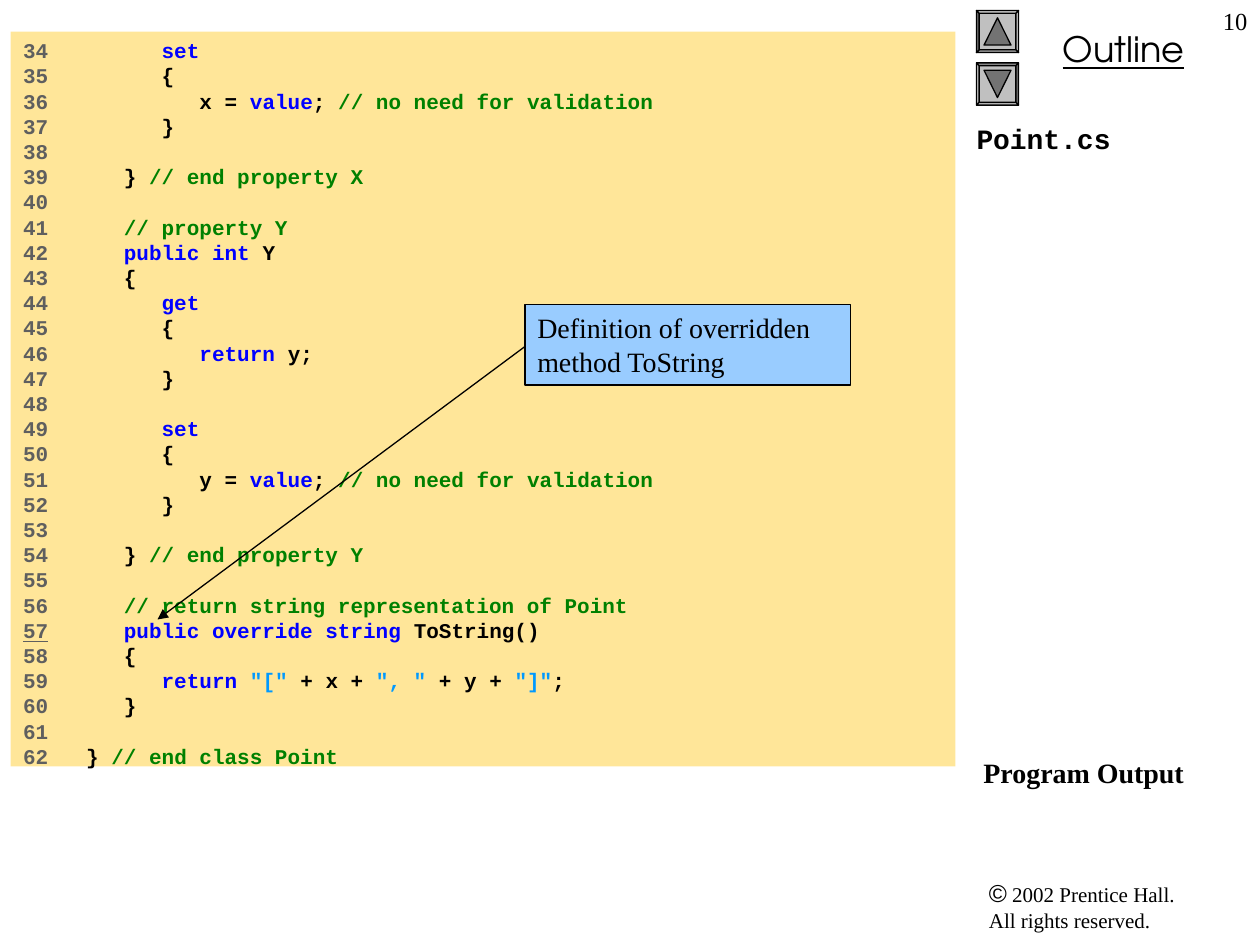
from pptx import Presentation
from pptx.dml.color import RGBColor
from pptx.enum.shapes import MSO_CONNECTOR as Connector, MSO_SHAPE as Preset
from pptx.enum.text import MSO_ANCHOR as Anchor, MSO_AUTO_SIZE as AutoSize, PP_ALIGN as Align
from pptx.oxml.ns import qn
from pptx.util import Pt
from lxml.etree import SubElement

BLACK = RGBColor(0x00, 0x00, 0x00)
GRAY = RGBColor(0x5F, 0x5F, 0x5F)
BLUE = RGBColor(0x00, 0x00, 0xFF)
GREEN = RGBColor(0x00, 0x80, 0x00)
SKY = RGBColor(0x00, 0x99, 0xFF)
CREAM = RGBColor(0xFF, 0xE6, 0x99)
PALE_BLUE = RGBColor(0x99, 0xCC, 0xFF)
FACE = RGBColor(0xC0, 0xC0, 0xC0)
LIGHT = RGBColor(0xCD, 0xCD, 0xCD)
MEDIUM = RGBColor(0x99, 0x99, 0x99)
DARK = RGBColor(0x73, 0x73, 0x73)

SERIF, MONO, SANS, DISPLAY = "Times New Roman", "Courier New", "Arial", "TeX Gyre Adventor"

FIRST_LINE = 34
UNDERLINED_LINE = 57
OPEN, CLOSE = [("      {", BLACK)], [("      }", BLACK)]
SET = [("      set", BLUE)]


def assignment(name):
    return [(f"         {name} = ", BLACK), ("value", BLUE), ("; ", BLACK),
            ("// no need for validation", GREEN)]


def property_end(name):
    return [("   } ", BLACK), (f"// end property {name}", GREEN)]


CODE = [
    SET, OPEN, assignment("x"), CLOSE, [], property_end("X"), [],
    [("   // property Y", GREEN)],
    [("   public int", BLUE), (" Y", BLACK)],
    [("   {", BLACK)],
    [("      get", BLUE)], OPEN,
    [("         return", BLUE), (" y;", BLACK)], CLOSE, [],
    SET, OPEN, assignment("y"), CLOSE, [], property_end("Y"), [],
    [("   // return string representation of Point", GREEN)],
    [("   public override string", BLUE), (" ToString()", BLACK)],
    [("   {", BLACK)],
    [("      return ", BLUE), ('"["', SKY), (" + x + ", BLACK), ('", "', SKY),
     (" + y + ", BLACK), ('"]"', SKY), (";", BLACK)],
    [("   }", BLACK)], [],
    [("} ", BLACK), ("// end class Point", GREEN)],
]

# Button outlines on a 24-point square
BUTTON = [
    (FACE, [(0, 0), (24, 0), (24, 24), (0, 24)]),
    (LIGHT, [(24, 0), (24, 24), (22.5, 22.5), (22.5, 1.5)]),
    (MEDIUM, [(24, 24), (0, 24), (1.5, 22.5), (22.5, 22.5)]),
    (DARK, [(0, 24), (0, 0), (1.5, 1.5), (1.5, 22.5)]),
    (LIGHT, [(0, 0), (24, 0), (22.5, 1.5), (1.5, 1.5)]),
    (DARK, [(12, 4.2), (19.7, 19.8), (4.3, 19.8)]),
]


class SlideBuilder:
    def __init__(self, slide):
        self.slide = slide
        self.line_width = Pt(0.75)

    def run(self, paragraph, text, size, font=SERIF, color=BLACK, bold=False, underline=False):
        run = paragraph.add_run()
        run.text = text
        run.font.size, run.font.name = Pt(size), font
        run.font.bold, run.font.underline = bold, underline
        run.font.color.rgb = color

    def frame(self, shape, left=7.2):
        frame = shape.text_frame
        frame.word_wrap, frame.auto_size = True, AutoSize.NONE
        frame.vertical_anchor = Anchor.TOP
        frame.margin_left, frame.margin_right = Pt(left), Pt(7.2)
        frame.margin_top = frame.margin_bottom = Pt(3.6)
        return frame

    def paragraph(self, frame, first=True, align=Align.LEFT, before=0, spacing=1.0):
        paragraph = frame.paragraphs[0] if first else frame.add_paragraph()
        paragraph.alignment, paragraph.line_spacing = align, spacing
        paragraph.space_before, paragraph.space_after = Pt(before), Pt(0)
        return paragraph

    def place(self, shape, left, top, width, height):
        shape.left, shape.top = Pt(left), Pt(top)
        shape.width, shape.height = Pt(width), Pt(height)
        return shape

    def text_box(self, left, top, width, height, align=Align.LEFT):
        box = self.slide.shapes.add_textbox(Pt(left), Pt(top), Pt(width), Pt(height))
        return self.paragraph(self.frame(box), align=align)

    def title(self, box, heading, footing, gap):
        frame = self.frame(self.place(self.slide.shapes.title, *box), left=0)
        spacing = Pt(19.2)
        self.run(self.paragraph(frame, spacing=spacing), heading, 16, MONO, bold=True)
        self.run(self.paragraph(frame, False, before=gap, spacing=spacing), footing, 16, bold=True)

    def code(self, box, lines):
        shape = self.place(self.slide.placeholders[1], *box)
        shape.fill.solid()
        shape.fill.fore_color.rgb = CREAM
        frame = self.frame(shape)
        for number, segments in enumerate(lines, FIRST_LINE):
            paragraph = self.paragraph(frame, number == FIRST_LINE, spacing=Pt(14.4))
            self.run(paragraph, str(number), 12, MONO, GRAY, True, number == UNDERLINED_LINE)
            if segments:
                self.run(paragraph, "   ", 12, MONO, GRAY, True)
            for text, color in segments:
                self.run(paragraph, text, 12, MONO, color, True)

    def callout(self, left, top, width, height, text):
        shape = self.slide.shapes.add_shape(
            Preset.RECTANGLE, Pt(left), Pt(top), Pt(width), Pt(height))
        self.paint(shape, PALE_BLUE)
        self.run(self.paragraph(self.frame(shape)), text, 16)

    def paint(self, shape, color):
        shape.shadow.inherit = False
        shape.fill.solid()
        shape.fill.fore_color.rgb = color
        shape.line.color.rgb, shape.line.width = BLACK, self.line_width

    def arrow(self, start, end):
        connector = self.slide.shapes.add_connector(
            Connector.STRAIGHT, *(Pt(value) for value in start + end))
        connector.line.color.rgb, connector.line.width = BLACK, self.line_width
        properties = connector._element.spPr
        SubElement(properties.find(qn("a:ln")), qn("a:tailEnd"), type="triangle")
        SubElement(properties, qn("a:effectLst"))

    def button(self, left, top, flipped=False):
        group = self.slide.shapes.add_group_shape()
        for color, outline in BUTTON:
            points = [(Pt(left + (24 - x if flipped else x)), Pt(top + (24 - y if flipped else y)))
                      for x, y in outline]
            builder = group.shapes.build_freeform(*points[0])
            builder.add_line_segments(points[1:])
            self.paint(builder.convert_to_shape(), color)


def main():
    presentation = Presentation()
    presentation.slide_width, presentation.slide_height = Pt(720), Pt(540)
    builder = SlideBuilder(presentation.slides.add_slide(presentation.slide_layouts[0]))

    # Side column
    copyright_line = builder.text_box(558, 498, 156, 39)
    builder.run(copyright_line, "©", 14, SANS)
    builder.run(copyright_line, " 2002 Prentice Hall.", 12)
    copyright_line.add_line_break()
    builder.run(copyright_line, "All rights reserved.", 12)
    outline = builder.text_box(564, 12, 156, 32, Align.CENTER)
    builder.run(outline, "Outline", 20, DISPLAY, underline=True)
    builder.button(558, 6)
    builder.button(558, 36, flipped=True)
    builder.title((558, 66, 162, 432), "Point.cs", " Program Output", 343)

    # Code listing
    builder.code((6, 18, 540, 420), CODE)

    # Callout and its arrow
    builder.callout(300, 174, 186, 46, "Definition of overridden method ToString")
    builder.arrow((300, 198), (90, 354))

    # Page number
    builder.run(builder.text_box(684, 0, 36, 36, Align.RIGHT), "10", 14)

    presentation.save("out.pptx")


if __name__ == "__main__":
    main()
